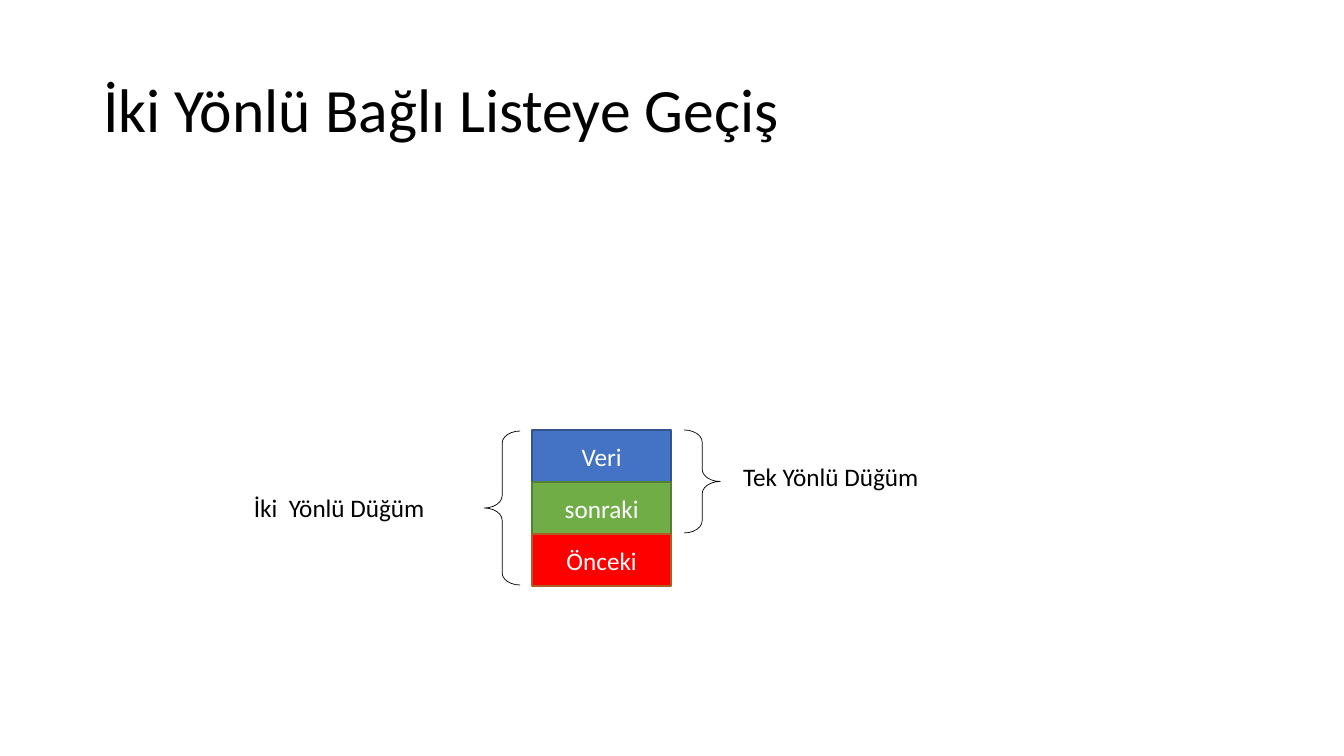
from dataclasses import dataclass

from pptx import Presentation
from pptx.dml.color import RGBColor
from pptx.enum.shapes import MSO_SHAPE
from pptx.enum.text import MSO_ANCHOR, MSO_AUTO_SIZE, PP_ALIGN
from pptx.shapes.autoshape import Shape
from pptx.slide import Slide
from pptx.util import Emu, Inches, Pt

RECT, BRACE = MSO_SHAPE.RECTANGLE, MSO_SHAPE.RIGHT_BRACE
LEFT, CENTER = PP_ALIGN.LEFT, PP_ALIGN.CENTER
TOP, MIDDLE = MSO_ANCHOR.TOP, MSO_ANCHOR.MIDDLE
NO_FIT, GROW = MSO_AUTO_SIZE.NONE, MSO_AUTO_SIZE.SHAPE_TO_FIT_TEXT
EMU_PER_PX = 914400 / 100.8


@dataclass(frozen=True)
class Theme:
    """Colours, font and sizes of the slide."""
    font: str = "Calibri"
    ink: str = "000000"
    paper: str = "FFFFFF"
    data: tuple[str, str] = ("4472C4", "325491")
    following: tuple[str, str] = ("70AD47", "538035")
    previous: tuple[str, str] = ("FF0000", "AF5C24")
    title_pt: int = 44
    body_pt: int = 18
    field_line_pt: float = 1
    brace_line_pt: float = 0.5


@dataclass(frozen=True)
class Box:
    """A rectangle in pixels."""
    x: int
    y: int
    w: int
    h: int

    def emu(self) -> tuple[Emu, Emu, Emu, Emu]:
        """Return left, top, width and height in EMU."""
        return tuple(Emu(round(v * EMU_PER_PX))
                     for v in (self.x, self.y, self.w, self.h))


@dataclass(frozen=True)
class Field:
    """One field of the list node."""
    text: str
    fill: str
    line: str


@dataclass(frozen=True)
class Bracket:
    """A brace and the label of the node kind it spans."""
    text: str
    brace: Box
    rotation: int
    label: Box


THEME = Theme()
TITLE_BOX = Box(93, 40, 1159, 146)
NODE = Box(532, 430, 139, 52)
FIELDS = (
    Field("Veri", *THEME.data),
    Field("sonraki", *THEME.following),
    Field("Önceki", *THEME.previous),
)
BRACKETS = (
    Bracket("Tek Yönlü Düğüm", Box(684, 430, 36, 103), 0,
            Box(733, 456, 205, 40)),
    Bracket("İki  Yönlü Düğüm", Box(484, 431, 36, 154), 180,
            Box(244, 487, 207, 40)),
)


def write(sp: Shape, text: str, size: int, color: str,
          align: PP_ALIGN, anchor: MSO_ANCHOR, fit: MSO_AUTO_SIZE) -> None:
    """Put one formatted run into a shape."""
    tf = sp.text_frame
    tf.word_wrap = True
    tf.auto_size = fit
    tf.vertical_anchor = anchor
    p = tf.paragraphs[0]
    p.alignment = align
    r = p.add_run()
    r.text = text
    r.font.name = THEME.font
    r.font.size = Pt(size)
    r.font.color.rgb = RGBColor.from_string(color)


def add_outlined(s: Slide, kind: MSO_SHAPE, box: Box,
                 line: str, width: float) -> Shape:
    """Add a preset shape with an outline and no shadow."""
    sp = s.shapes.add_shape(kind, *box.emu())
    sp.shadow.inherit = False
    sp.line.color.rgb = RGBColor.from_string(line)
    sp.line.width = Pt(width)
    return sp


def add_title(s: Slide, text: str) -> None:
    """Place and fill the title placeholder."""
    sp = s.shapes.title
    sp.left, sp.top, sp.width, sp.height = TITLE_BOX.emu()
    write(sp, text, THEME.title_pt, THEME.ink, LEFT, MIDDLE, NO_FIT)
    sp.text_frame.paragraphs[0].line_spacing = 0.9


def add_field(s: Slide, row: int, field: Field) -> None:
    """Add one field at its row in the node."""
    box = Box(NODE.x, NODE.y + row * NODE.h, NODE.w, NODE.h)
    sp = add_outlined(s, RECT, box, field.line, THEME.field_line_pt)
    sp.fill.solid()
    sp.fill.fore_color.rgb = RGBColor.from_string(field.fill)
    write(sp, field.text, THEME.body_pt, THEME.paper, CENTER, MIDDLE, NO_FIT)


def add_bracket(s: Slide, bracket: Bracket) -> None:
    """Add a brace with its label."""
    sp = add_outlined(s, BRACE, bracket.brace, THEME.ink, THEME.brace_line_pt)
    sp.fill.background()
    sp.adjustments[0] = 0.34
    sp.rotation = bracket.rotation
    label = s.shapes.add_textbox(*bracket.label.emu())
    write(label, bracket.text, THEME.body_pt, THEME.ink, LEFT, TOP, GROW)


def main() -> None:
    """Build and save the slide."""
    prs = Presentation()
    prs.slide_width, prs.slide_height = Inches(13.33), Inches(7.5)
    s = prs.slides.add_slide(prs.slide_layouts.get_by_name("Title Only"))
    add_title(s, "İki Yönlü Bağlı Listeye Geçiş")
    for row, field in enumerate(FIELDS):
        add_field(s, row, field)
    for bracket in BRACKETS:
        add_bracket(s, bracket)
    prs.save("out.pptx")


main()
